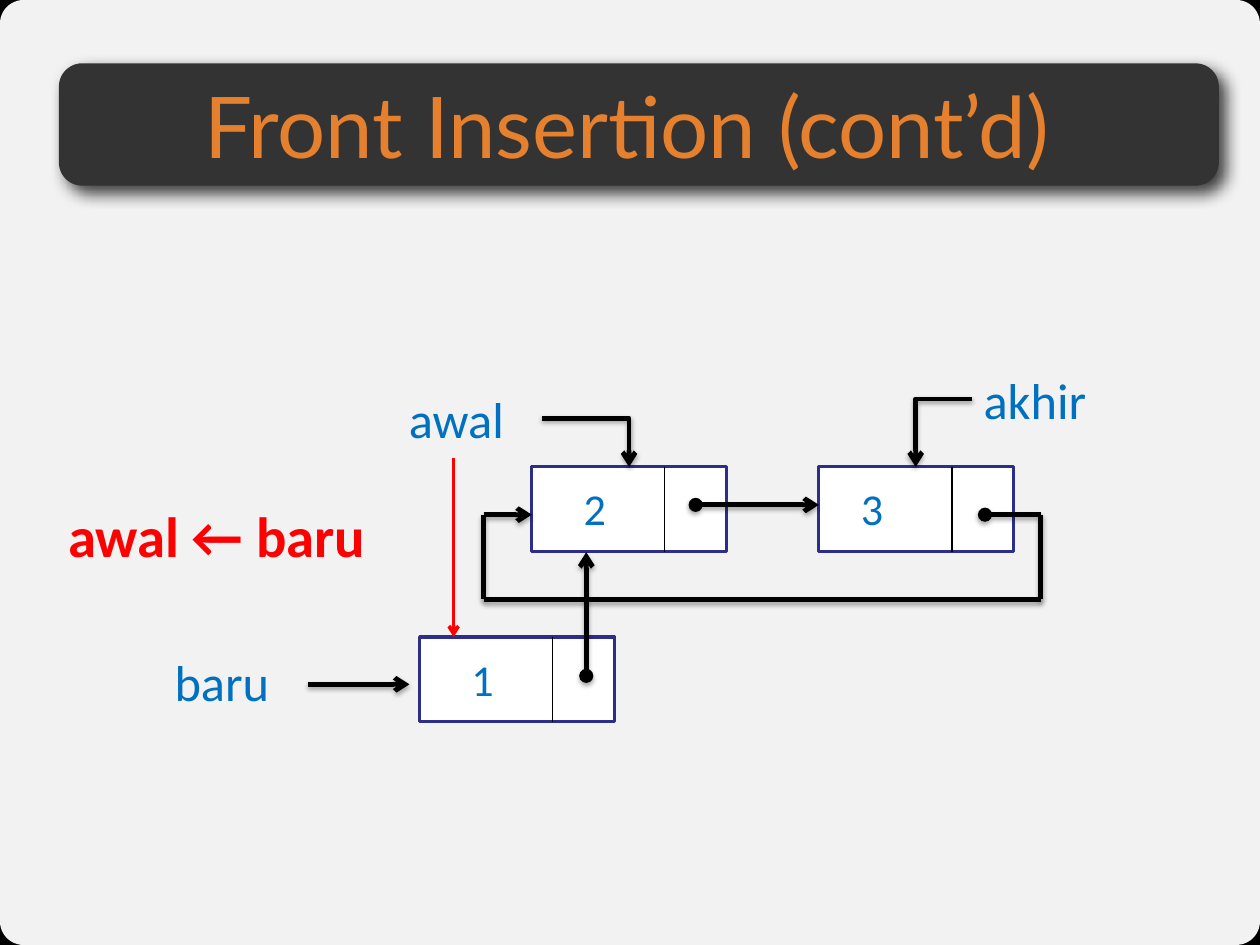
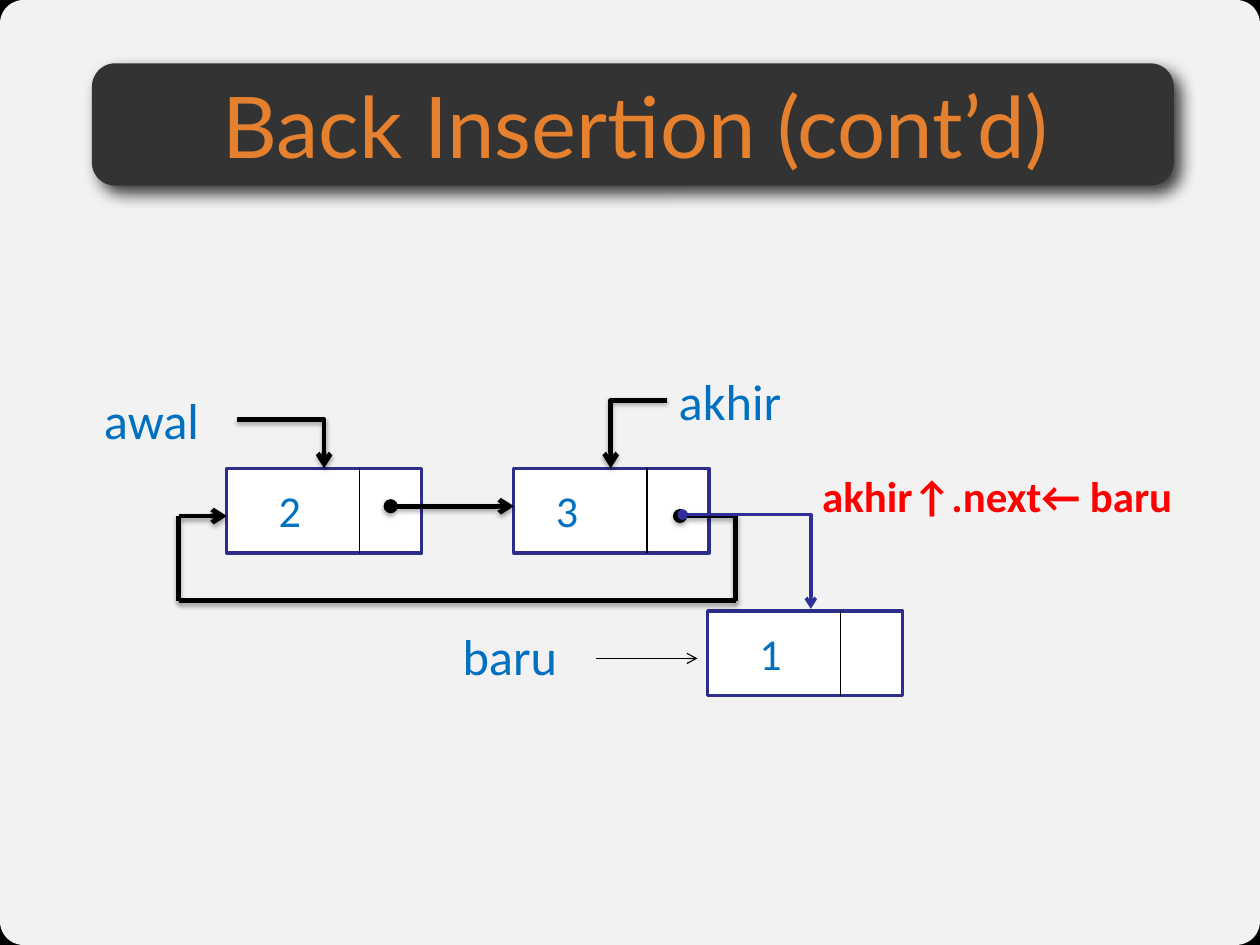
from dataclasses import dataclass
from typing import Any, Optional

from lxml.etree import SubElement
from pptx import Presentation
from pptx.dml.color import RGBColor
from pptx.enum.shapes import MSO_CONNECTOR, MSO_SHAPE
from pptx.enum.text import MSO_ANCHOR, MSO_AUTO_SIZE, PP_ALIGN
from pptx.oxml.ns import qn
from pptx.util import Cm, Pt

BLACK = RGBColor(0x00, 0x00, 0x00)
PAPER = RGBColor(0xF2, 0xF2, 0xF2)
WHITE = RGBColor(0xFF, 0xFF, 0xFF)
CHARCOAL = RGBColor(0x33, 0x33, 0x33)
ORANGE = RGBColor(0xE5, 0x81, 0x2E)
BLUE = RGBColor(0x00, 0x70, 0xC0)
NAVY = RGBColor(0x2D, 0x2D, 0x8A)
INDIGO = RGBColor(0x2F, 0x2F, 0x98)
RED = RGBColor(0xFF, 0x00, 0x00)

SLIDE_WIDTH, SLIDE_HEIGHT = 28.22, 21.17
NODE_WIDTH, NODE_HEIGHT, DIVIDER = 4.37, 1.9, 2.98
TITLE_FONT = {"name": "Lato", "size": Pt(54)}
LABEL_FONT = {"name": "Calibri", "size": Pt(32)}
VALUE_FONT = {"name": "Calibri", "size": Pt(28)}
FLUSH = {"margin_left": 0, "margin_right": 0, "margin_top": 0, "margin_bottom": 0}


@dataclass(frozen=True)
class Place:
    left: float
    top: float
    width: float
    height: float

    def lengths(self) -> tuple[Cm, Cm, Cm, Cm]:
        return Cm(self.left), Cm(self.top), Cm(self.width), Cm(self.height)


@dataclass(frozen=True)
class Shadow:
    opacity: int
    blur: float
    distance: float
    angle: int


@dataclass(frozen=True)
class Stroke:
    color: RGBColor
    width: float
    shadow: Optional[Shadow] = None


@dataclass(frozen=True)
class Link:
    start: tuple[float, float]
    end: tuple[float, float]
    head: str = ""
    tail: str = ""
    bent: bool = False


@dataclass(frozen=True)
class Node:
    left: float
    top: float
    value: str
    inset: float = 0.91


@dataclass(frozen=True)
class Page:
    title: str
    title_left: float
    title_width: float
    band_left: float
    band_width: float
    step: str
    step_place: Place
    step_size: float
    step_spacing: float
    ring: tuple[float, float]
    new_node: Node
    new_stroke: Stroke
    links: tuple[tuple[Link, Stroke], ...]


BAND_SHADOW = Shadow(75, 10, 6, 51)
THICK = Stroke(BLACK, 3, Shadow(35, 3.1, 1.8, 90))
THIN = Stroke(BLACK, 0.75)

RING_LINKS = (
    Link((0.23, -1.09), (2.18, 0), tail="arrow", bent=True),
    Link((9.87, -1.52), (8.6, 0), tail="arrow", bent=True),
    Link((3.67, 0.85), (6.43, 0.85), head="oval", tail="arrow"),
    Link((10.15, 1.07), (11.4, 1.07), head="oval"),
    Link((11.4, 1.07), (11.4, 2.97)),
    Link((-1.08, 2.97), (11.4, 2.97)),
    Link((-1.08, 1.07), (-1.08, 2.97)),
    Link((-1.08, 1.07), (0, 1.07), tail="arrow"),
)

PAGES = (
    Page(
        "Front Insertion (cont’d)", 1.32, 25.43, 1.32, 25.98,
        "awal ← baru", Place(1.27, 11.1, 8.05, 1.9), 36, 1,
        (11.91, 10.46), Node(9.4, 14.27, "1"), THICK,
        (
            (Link((10.16, 10.26), (10.16, 14.27), tail="arrow"), Stroke(RED, 2.25)),
            (Link((13.13, 15.14), (13.13, 12.37), head="oval", tail="arrow"), THICK),
        ),
    ),
    Page(
        "Back Insertion (cont’d)", 1.73, 25, 2.06, 24.23,
        "akhir↑.next← baru", Place(18.16, 10.52, 9.32, 1.9), 27.2, 0.9,
        (5.08, 10.49), Node(15.85, 13.69, "1"), THIN,
        (
            (Link((15.29, 11.53), (18.16, 13.64), "oval", "arrow", True),
             Stroke(INDIGO, 2.25)),
        ),
    ),
)


def apply_format(target: Any, values: dict[str, Any]) -> None:
    for name, value in values.items():
        setattr(target, name, value)


def add_shadow(shape: Any, shadow: Optional[Shadow]) -> None:
    properties = shape._element.spPr
    effects = properties.find(qn("a:effectLst"))
    if effects is None:
        effects = SubElement(properties, qn("a:effectLst"))
    if shadow:
        outer = SubElement(effects, qn("a:outerShdw"), {
            "blurRad": str(Pt(shadow.blur)), "dist": str(Pt(shadow.distance)),
            "dir": str(shadow.angle * 60000), "algn": "ctr", "rotWithShape": "0"})
        color = SubElement(outer, qn("a:srgbClr"), {"val": str(BLACK)})
        SubElement(color, qn("a:alpha"), {"val": str(shadow.opacity * 1000)})


def add_box(slide: Any, kind: MSO_SHAPE, place: Place, fill: RGBColor,
            stroke: Optional[Stroke] = None) -> Any:
    box = slide.shapes.add_shape(kind, *place.lengths())
    box.shadow.inherit = False
    box.fill.solid()
    box.fill.fore_color.rgb = fill
    if stroke:
        box.line.color.rgb = stroke.color
        box.line.width = Pt(stroke.width)
    else:
        box.line.fill.background()
    return box


def add_link(slide: Any, link: Link, stroke: Stroke,
             origin: tuple[float, float] = (0, 0)) -> None:
    left, top = origin
    ends = [Cm(left + link.start[0]), Cm(top + link.start[1]),
            Cm(left + link.end[0]), Cm(top + link.end[1])]
    kind = MSO_CONNECTOR.ELBOW if link.bent else MSO_CONNECTOR.STRAIGHT
    connector = slide.shapes.add_connector(kind, *ends)
    connector.line.color.rgb = stroke.color
    connector.line.width = Pt(stroke.width)
    properties = connector._element.spPr
    if link.bent:
        properties.find(qn("a:prstGeom")).set("prst", "bentConnector2")
    line = properties.find(qn("a:ln"))
    for tag, mark in (("a:headEnd", link.head), ("a:tailEnd", link.tail)):
        if mark:
            SubElement(line, qn(tag), {"type": mark})
    add_shadow(connector, stroke.shadow)


def write(box: Any, text: str, font: dict[str, Any], color: RGBColor,
          frame_format: Optional[dict[str, Any]] = None,
          para_format: Optional[dict[str, Any]] = None) -> None:
    frame = box.text_frame
    apply_format(frame, {"word_wrap": True, "auto_size": MSO_AUTO_SIZE.NONE,
                         **(frame_format or {})})
    para = frame.paragraphs[0]
    apply_format(para, para_format or {})
    span = para.add_run()
    span.text = text
    apply_format(span.font, font)
    span.font.color.rgb = color


def add_text(slide: Any, text: str, place: Place, font: dict[str, Any]) -> None:
    write(slide.shapes.add_textbox(*place.lengths()), text, font, BLUE)


def add_label(slide: Any, text: str, left: float, top: float) -> None:
    add_text(slide, text, Place(left, top, 3.2, 1.63), LABEL_FONT)


def add_node(slide: Any, node: Node) -> None:
    add_box(slide, MSO_SHAPE.RECTANGLE,
            Place(node.left, node.top, NODE_WIDTH, NODE_HEIGHT), WHITE, Stroke(NAVY, 2))
    divider = Link((DIVIDER, 0), (DIVIDER, NODE_HEIGHT))
    add_link(slide, divider, THIN, (node.left, node.top))
    add_text(slide, node.value,
             Place(node.left + node.inset, node.top + 0.21, 1.6, 1.45), VALUE_FONT)


def add_ring(slide: Any, left: float, top: float) -> None:
    add_node(slide, Node(left, top, "2"))
    add_node(slide, Node(left + 6.43, top, "3", 0.69))
    add_label(slide, "awal", left - 3, top - 1.9)
    add_label(slide, "akhir", left + 9.87, top - 2.32)
    for link in RING_LINKS:
        add_link(slide, link, THICK, (left, top))


def add_new_node(slide: Any, node: Node, stroke: Stroke) -> None:
    add_node(slide, node)
    add_label(slide, "baru", node.left - 5.74, node.top + 0.2)
    pointer = Link((-2.51, 1.06), (-0.23, 1.06), tail="arrow")
    add_link(slide, pointer, stroke, (node.left, node.top))


def place_shape(shape: Any, place: Place) -> None:
    apply_format(shape, dict(zip(("left", "top", "width", "height"), place.lengths())))


def add_heading(slide: Any, page: Page) -> None:
    band = add_box(slide, MSO_SHAPE.ROUNDED_RECTANGLE,
                   Place(page.band_left, 1.42, page.band_width, 2.74), CHARCOAL)
    band.adjustments[0] = 0.19
    add_shadow(band, BAND_SHADOW)
    slide.shapes._spTree.insert(2, band._element)
    title = slide.shapes.title
    place_shape(title, Place(page.title_left, 1.52, page.title_width, 2.54))
    write(title, page.title, TITLE_FONT, ORANGE,
          {**FLUSH, "vertical_anchor": MSO_ANCHOR.MIDDLE}, {"alignment": PP_ALIGN.CENTER})


def add_step(slide: Any, page: Page) -> None:
    body = slide.placeholders[1]
    place_shape(body, page.step_place)
    properties = body.text_frame.paragraphs[0]._p.get_or_add_pPr()
    properties.set("marL", "0")
    properties.set("indent", "0")
    SubElement(properties, qn("a:buNone"))
    write(body, page.step, {"name": "Calibri", "size": Pt(page.step_size), "bold": True},
          RED, para_format={"space_before": Pt(0), "line_spacing": page.step_spacing})


def set_backdrop(deck: Any, slide: Any) -> None:
    master = deck.slide_master
    master.background.fill.solid()
    master.background.fill.fore_color.rgb = BLACK
    panel = add_box(slide, MSO_SHAPE.ROUNDED_RECTANGLE,
                    Place(0, 0, SLIDE_WIDTH, SLIDE_HEIGHT), PAPER)
    panel.adjustments[0] = 0.025
    panel._element.nvSpPr.cNvPr.set("id", "20")
    master.shapes._spTree.insert(2, panel._element)


def main() -> None:
    deck = Presentation()
    deck.slide_width, deck.slide_height = Cm(SLIDE_WIDTH), Cm(SLIDE_HEIGHT)
    for number, page in enumerate(PAGES):
        slide = deck.slides.add_slide(deck.slide_layouts[1])
        if number == 0:
            set_backdrop(deck, slide)
        add_heading(slide, page)
        add_step(slide, page)
        add_new_node(slide, page.new_node, page.new_stroke)
        add_ring(slide, *page.ring)
        for link, stroke in page.links:
            add_link(slide, link, stroke)
    deck.save("out.pptx")


if __name__ == "__main__":
    main()
